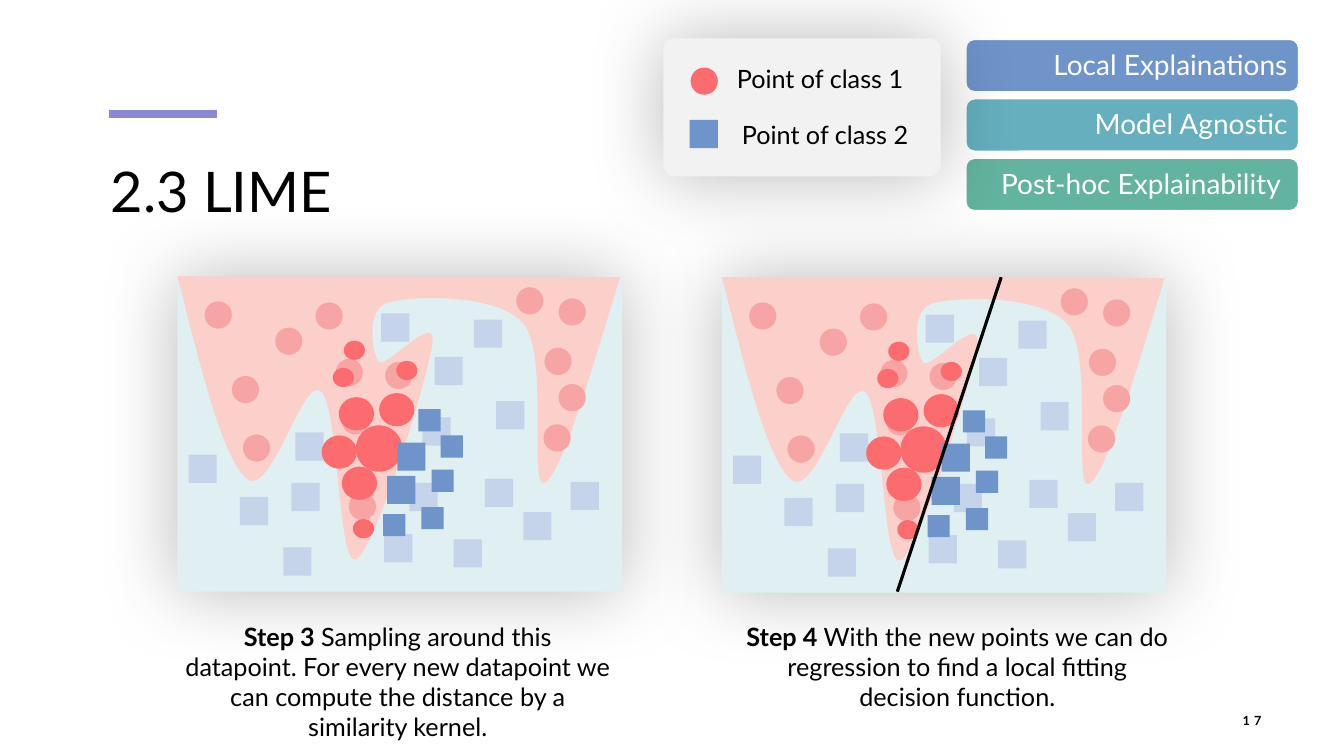
from dataclasses import dataclass

from lxml.etree import SubElement
from pptx import Presentation
from pptx.dml.color import RGBColor
from pptx.enum.shapes import MSO_CONNECTOR, MSO_SHAPE
from pptx.enum.text import MSO_ANCHOR, MSO_AUTO_SIZE, PP_ALIGN
from pptx.oxml.ns import qn
from pptx.util import Inches, Pt

BLACK = RGBColor(0x00, 0x00, 0x00)
WHITE = RGBColor(0xFF, 0xFF, 0xFF)
PURPLE = RGBColor(0x8A, 0x89, 0xD3)
BLUE = RGBColor(0x6F, 0x94, 0xCA)
PALE_BLUE = RGBColor(0xC5, 0xD4, 0xEA)
TEAL = RGBColor(0x65, 0xAF, 0xBE)
GREEN = RGBColor(0x62, 0xB3, 0x9F)
RED = RGBColor(0xFC, 0x6B, 0x6E)
PALE_RED = RGBColor(0xF7, 0xA4, 0xA4)
REGION_RED = RGBColor(0xFB, 0xD0, 0xCB)
REGION_BLUE = RGBColor(0xE0, 0xEF, 0xF2)
LEGEND_GRAY = RGBColor(0xF2, 0xF2, 0xF2)

FONT = "Lato"


@dataclass(frozen=True)
class Tag:
    text: str
    color: RGBColor


@dataclass(frozen=True)
class Markers:
    kind: MSO_SHAPE
    color: RGBColor
    width: float
    height: float
    positions: tuple


@dataclass(frozen=True)
class Step:
    lead: str
    text: str
    left: float
    top: float
    caption_left: float
    caption_height: float


TAGS = (
    Tag("Local Explainations", BLUE),
    Tag("Model Agnostic", TEAL),
    Tag("Post-hoc Explainability ", GREEN),
)

STEPS = (
    Step("Step 3 ", "Sampling around this datapoint. For every new datapoint we can "
         "compute the distance by a similarity kernel.", 1.76, 2.75, 1.74, 1.31),
    Step("Step 4 ", "With the new points we can do regression to find a local fitting "
         "decision function.", 7.16, 2.76, 7.29, 1.01),
)

REGION_CURVES = (
    ((0.23, 0.91), (0.45, 1.82), (0.69, 2.01)),
    ((0.93, 2.2), (1.24, 1), (1.42, 1.14)),
    ((1.6, 1.27), (1.59, 2.89), (1.77, 2.81)),
    ((1.96, 2.73), (2.49, 0.99), (2.53, 0.66)),
    ((2.57, 0.34), (2.07, 0.92), (2, 0.85)),
    ((1.93, 0.78), (1.86, 0.32), (2.09, 0.26)),
    ((2.33, 0.19), (3.18, 0.17), (3.43, 0.47)),
    ((3.69, 0.77), (3.48, 2.13), (3.64, 2.05)),
    ((3.8, 1.98), (4.09, 1), (4.39, 0.01)),
)

MARKERS = (
    Markers(MSO_SHAPE.OVAL, PALE_RED, 0.27, 0.27, (
        (0.27, 0.24), (0.54, 0.98), (0.97, 0.5), (1.57, 0.81), (1.37, 0.25),
        (1.63, 1.29), (0.65, 1.56), (1.7, 2.14), (2.06, 0.84))),
    Markers(MSO_SHAPE.OVAL, RED, 0.46, 0.46, ((1.77, 1.47),)),
    Markers(MSO_SHAPE.OVAL, PALE_RED, 0.27, 0.27, (
        (3.63, 1.46), (3.78, 1.06), (3.64, 0.7), (3.78, 0.21), (3.36, 0.1))),
    Markers(MSO_SHAPE.RECTANGLE, PALE_BLUE, 0.28, 0.28, (
        (2.02, 0.36), (2.94, 0.42), (1.17, 1.54), (2.55, 0.79), (2.43, 1.39),
        (3.16, 1.23), (2.3, 2.04), (1.13, 2.04), (2.05, 2.55), (0.11, 1.76),
        (0.62, 2.18), (3.05, 2), (3.9, 2.03), (3.43, 2.33), (1.05, 2.68),
        (2.74, 2.6))),
    Markers(MSO_SHAPE.OVAL, RED, 0.35, 0.33, (
        (2, 1.15), (1.6, 1.19), (1.43, 1.57), (1.63, 1.88))),
    Markers(MSO_SHAPE.OVAL, RED, 0.21, 0.19, (
        (1.74, 2.4), (2.17, 0.83), (1.54, 0.9), (1.65, 0.63))),
    Markers(MSO_SHAPE.RECTANGLE, BLUE, 0.28, 0.28, ((2.18, 1.64), (2.08, 1.97))),
    Markers(MSO_SHAPE.RECTANGLE, BLUE, 0.22, 0.22, (
        (2.39, 1.31), (2.61, 1.57), (2.52, 1.91), (2.42, 2.28), (2.04, 2.35))),
)


def add_text(shapes, box: tuple, text: str, *, lead: str = "", size: float = 18,
             color: RGBColor = BLACK, bold: bool = False, align=PP_ALIGN.LEFT,
             anchor=MSO_ANCHOR.TOP, wrap: bool = True, grow: bool = False,
             inset: float | None = None, line_spacing: float | None = None,
             character_spacing: float = 0) -> None:
    frame = shapes.add_textbox(*map(Inches, box)).text_frame
    frame.word_wrap = wrap
    frame.vertical_anchor = anchor
    frame.auto_size = MSO_AUTO_SIZE.SHAPE_TO_FIT_TEXT if grow else MSO_AUTO_SIZE.NONE
    if inset is not None:
        frame.margin_left = frame.margin_right = Inches(inset)
        frame.margin_top = frame.margin_bottom = Inches(inset)
    paragraph = frame.paragraphs[0]
    paragraph.alignment = align
    paragraph.line_spacing = line_spacing
    for content, is_bold in ((lead, True), (text, bold)):
        if not content:
            continue
        run = paragraph.add_run()
        run.text = content
        run.font.name = FONT
        run.font.size = Pt(size)
        run.font.bold = is_bold
        run.font.color.rgb = color
        if character_spacing:
            run.font._element.set("spc", str(round(character_spacing * 100)))


def paint(shape, color: RGBColor) -> None:
    shape.shadow.inherit = False
    shape.fill.solid()
    shape.fill.fore_color.rgb = color
    shape.line.fill.background()


def add_block(shapes, kind: MSO_SHAPE, box: tuple, color: RGBColor):
    shape = shapes.add_shape(kind, *map(Inches, box))
    paint(shape, color)
    return shape


def add_glow_shadow(shape) -> None:
    effects = shape._element.spPr.find(qn("a:effectLst"))
    shadow = SubElement(effects, qn("a:outerShdw"), blurRad=str(Pt(55.6)),
                        dist="0", dir="0", algn="ctr", rotWithShape="0")
    shadow_color = SubElement(shadow, qn("a:srgbClr"), val=str(BLACK))
    SubElement(shadow_color, qn("a:alpha"), val="28000")


def add_line(shapes, start: tuple, end: tuple, color: RGBColor, width: float) -> None:
    line = shapes.add_connector(MSO_CONNECTOR.STRAIGHT, *map(Inches, start + end))
    line.line.color.rgb = color
    line.line.width = Pt(width)
    SubElement(line._element.spPr, qn("a:effectLst"))


def add_region(shapes, left: float, top: float) -> None:
    builder = shapes.build_freeform(0, 0)
    builder.add_line_segments([tuple(map(Inches, curve[-1])) for curve in REGION_CURVES],
                              close=False)
    region = builder.convert_to_shape(Inches(left), Inches(top))
    paint(region, REGION_RED)
    segments = list(region._element.iter(qn("a:lnTo")))
    for segment, curve in zip(segments, REGION_CURVES):
        bezier = SubElement(segment.getparent(), qn("a:cubicBezTo"))
        for x, y in curve:
            SubElement(bezier, qn("a:pt"), x=str(Inches(x)), y=str(Inches(y)))
        segment.getparent().replace(segment, bezier)


def add_step(shapes, step: Step) -> None:
    add_text(shapes, (step.caption_left, 6.11, 4.41, step.caption_height), step.text,
             lead=step.lead, align=PP_ALIGN.CENTER, grow=True)
    panel = shapes.add_group_shape().shapes
    background = add_block(panel, MSO_SHAPE.RECTANGLE,
                           (step.left, step.top, 4.41, 3.12), REGION_BLUE)
    add_glow_shadow(background)
    add_region(panel, step.left, step.top - 0.01)
    for markers in MARKERS:
        for x, y in markers.positions:
            add_block(panel, markers.kind, (step.left + x, step.top + y,
                      markers.width, markers.height), markers.color)


def add_tags(shapes) -> None:
    group = shapes.add_group_shape().shapes
    for index, tag in enumerate(TAGS):
        top = 0.39 + 0.59 * index
        shape = add_block(group, MSO_SHAPE.ROUNDED_RECTANGLE, (9.58, top, 3.3, 0.52), tag.color)
        shape.line.color.rgb = WHITE
        shape.line.width = Pt(1)
        add_text(group, (9.6, top + 0.03, 3.25, 0.47), tag.text, size=20, color=WHITE,
                 align=PP_ALIGN.RIGHT, anchor=MSO_ANCHOR.MIDDLE, inset=0.08, line_spacing=0.9)


def add_legend(shapes) -> None:
    group = shapes.add_group_shape().shapes
    card = add_block(group, MSO_SHAPE.ROUNDED_RECTANGLE, (6.58, 0.38, 2.75, 1.37), LEGEND_GRAY)
    card.adjustments[0] = 0.08
    add_glow_shadow(card)
    add_block(group, MSO_SHAPE.OVAL, (6.85, 0.67, 0.27, 0.27), RED)
    add_block(group, MSO_SHAPE.RECTANGLE, (6.84, 1.19, 0.28, 0.28), BLUE)
    add_text(group, (7.21, 0.58, 1.9, 0.4), "Point of class 1", wrap=False, grow=True)
    add_text(group, (7.26, 1.13, 1.9, 0.4), "Point of class 2", wrap=False, grow=True)


def main() -> None:
    presentation = Presentation()
    presentation.slide_width = Inches(13.33)
    presentation.slide_height = Inches(7.5)
    shapes = presentation.slides.add_slide(presentation.slide_layouts[6]).shapes
    add_line(shapes, (1.08, 1.13), (2.15, 1.13), PURPLE, 6)
    add_text(shapes, (1, 1.5, 11.33, 1.44), "2.3 LIME", size=40)
    add_text(shapes, (11.82, 6.95, 0.79, 0.4), "17", size=9, bold=True,
             align=PP_ALIGN.RIGHT, anchor=MSO_ANCHOR.MIDDLE, character_spacing=3)
    add_tags(shapes)
    add_legend(shapes)
    for step in STEPS:
        add_step(shapes, step)
    add_line(shapes, (9.93, 2.75), (8.9, 5.87), BLACK, 2.25)
    presentation.save("out.pptx")


if __name__ == "__main__":
    main()
